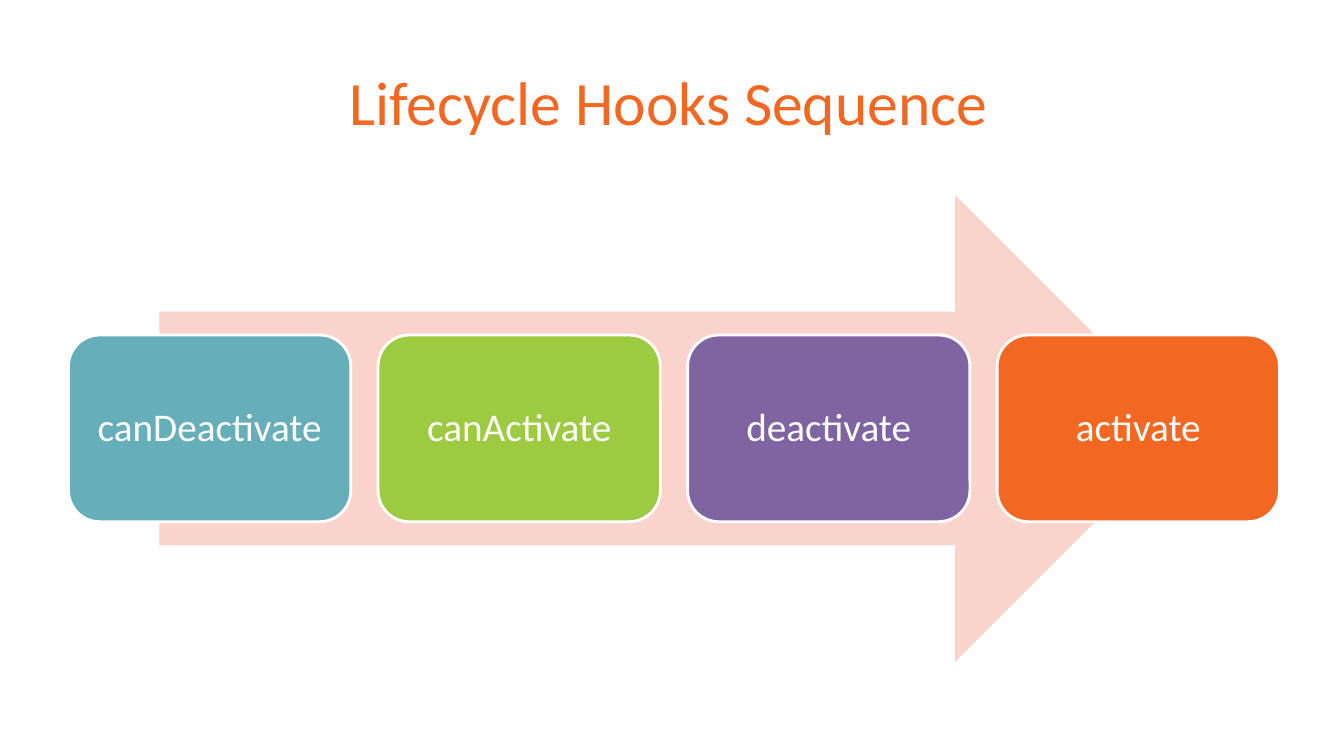
from dataclasses import dataclass

from pptx import Presentation
from pptx import util as u
from pptx.dml.color import RGBColor
from pptx.enum import shapes, text


@dataclass(frozen=True)
class Theme:
    font: str = "Calibri"
    title_size: int = 44
    hook_size: int = 28
    white: str = "FFFFFF"
    teal: str = "66AEBA"
    green: str = "9CCB42"
    purple: str = "8064A2"
    orange: str = "F26722"
    blush: str = "FAD3CD"


@dataclass
class SequenceSlide:
    """Places elements on a grid of equal columns; lengths in inches."""
    slide: object
    theme: Theme
    columns: int
    left: float = 0.68
    width: float = 12.01
    gap: float = 0.27

    @property
    def column_width(self):
        return (self.width - (self.columns - 1) * self.gap) / self.columns

    def column_left(self, column):
        return self.left + column * (self.column_width + self.gap)

    def label(self, frame, words, size, color, margins, spacing):
        frame.word_wrap = True
        frame.auto_size = text.MSO_AUTO_SIZE.NONE
        frame.vertical_anchor = text.MSO_ANCHOR.MIDDLE
        (frame.margin_left, frame.margin_top,
         frame.margin_right, frame.margin_bottom) = map(u.Inches, margins)
        line = frame.paragraphs[0]
        line.alignment = text.PP_ALIGN.CENTER
        line.line_spacing = spacing
        run = line.add_run()
        run.text = words
        run.font.name = self.theme.font
        run.font.size = u.Pt(size)
        run.font.color.rgb = RGBColor.from_string(color)

    def title(self, words, top, height):
        heading = self.slide.shapes.title
        heading.left, heading.top = u.Inches(self.left), u.Inches(top)
        heading.width, heading.height = u.Inches(self.width), u.Inches(height)
        self.label(heading.text_frame, words, self.theme.title_size,
                   self.theme.orange, (0, 0.05, 0.1, 0.05), 0.85)

    def block(self, kind, left, middle, width, height, fill):
        block = self.slide.shapes.add_shape(
            kind, u.Inches(left), u.Inches(middle - height / 2),
            u.Inches(width), u.Inches(height))
        block.shadow.inherit = False
        block.fill.solid()
        block.fill.fore_color.rgb = RGBColor.from_string(fill)
        block.line.fill.background()
        return block

    def arrow(self, middle, height, share):
        width = self.width * share
        self.block(shapes.MSO_SHAPE.RIGHT_ARROW,
                   self.left + (self.width - width) / 2,
                   middle, width, height, self.theme.blush)

    def hook(self, column, name, fill, middle, height):
        card = self.block(shapes.MSO_SHAPE.ROUNDED_RECTANGLE,
                          self.column_left(column), middle,
                          self.column_width, height, fill)
        card.line.color.rgb = RGBColor.from_string(self.theme.white)
        card.line.width = u.Pt(2)
        self.label(card.text_frame, name, self.theme.hook_size,
                   self.theme.white, (0.12,) * 4, 0.9)


def main():
    deck = Presentation()
    deck.slide_width, deck.slide_height = u.Inches(13.33), u.Inches(7.5)
    theme = Theme()
    hooks = [("canDeactivate", theme.teal), ("canActivate", theme.green),
             ("deactivate", theme.purple), ("activate", theme.orange)]
    title_only = deck.slide_layouts[5]
    page = SequenceSlide(deck.slides.add_slide(title_only), theme, len(hooks))

    # Heading
    page.title("Lifecycle Hooks Sequence", top=0.2, height=1.72)

    # Direction arrow behind the hooks
    middle, arrow_height = 4.25, 4.63
    page.arrow(middle, arrow_height, share=0.85)

    # Hooks in the order they run
    for column, (name, fill) in enumerate(hooks):
        page.hook(column, name, fill, middle, arrow_height * 0.4)

    deck.save("out.pptx")


if __name__ == "__main__":
    main()
